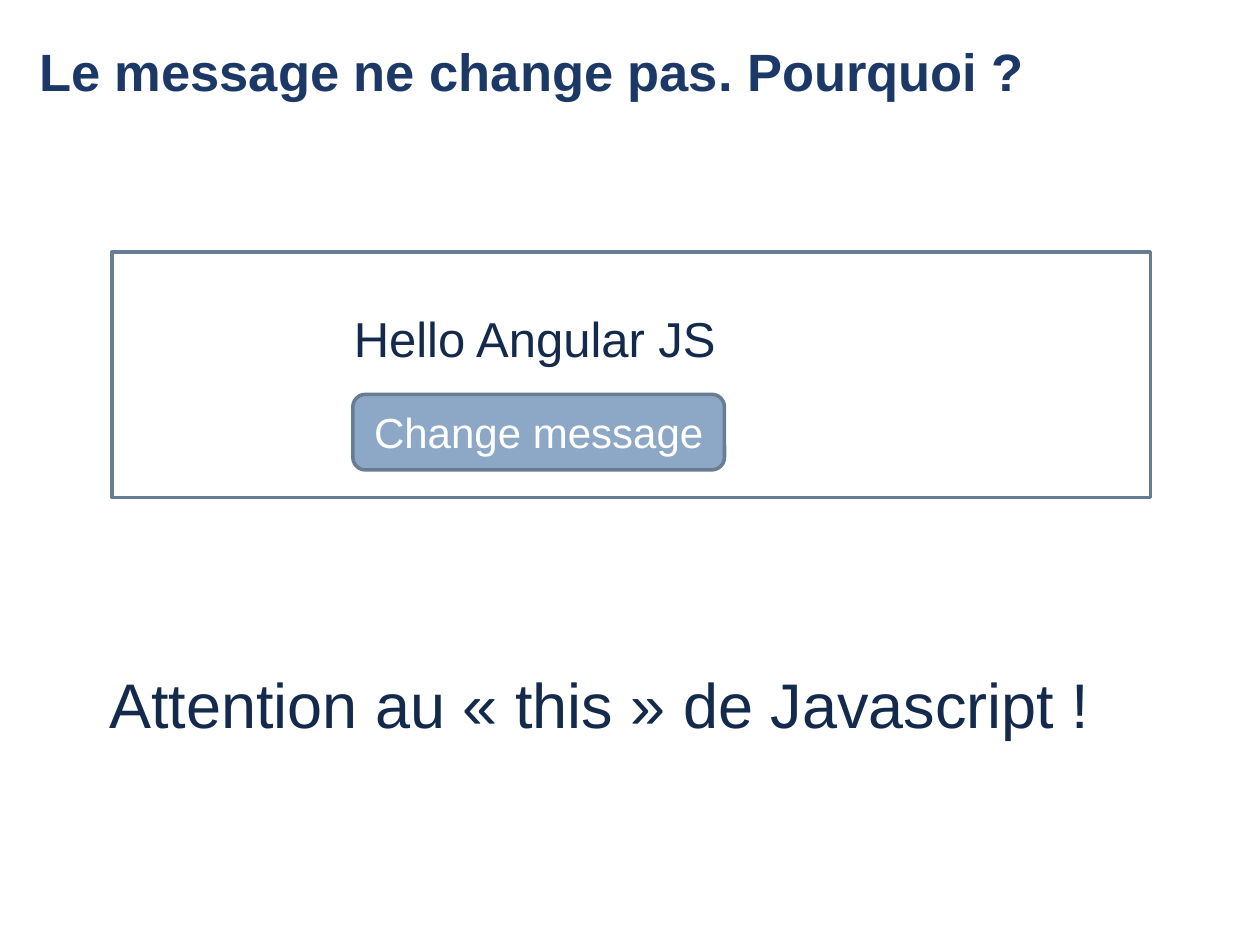
from pptx import Presentation
from pptx.dml.color import RGBColor
from pptx.enum.shapes import MSO_SHAPE
from pptx.enum.text import MSO_ANCHOR, MSO_AUTO_SIZE, PP_ALIGN
from pptx.util import Inches, Pt

RECT, ROUND_RECT = MSO_SHAPE.RECTANGLE, MSO_SHAPE.ROUNDED_RECTANGLE
TOP, MIDDLE = MSO_ANCHOR.TOP, MSO_ANCHOR.MIDDLE
LEFT, CENTER = PP_ALIGN.LEFT, PP_ALIGN.CENTER
FIT_SHAPE = MSO_AUTO_SIZE.SHAPE_TO_FIT_TEXT
NO_FIT = MSO_AUTO_SIZE.NONE

FONT = "Arial"
COLORS = {
    "title": "1B3866",
    "text": "142A4C",
    "white": "FFFFFF",
    "button": "8DA8C6",
    "border": "687C92",
}


def rgb(name):
    return RGBColor.from_string(COLORS[name])


def write(tf, text, size, color, align=LEFT, bold=False):
    p = tf.paragraphs[0]
    p.alignment = align
    r = p.add_run()
    r.text = text
    r.font.name = FONT
    r.font.size = Pt(size)
    r.font.bold = bold
    r.font.color.rgb = rgb(color)


def set_title(s, text, left, top, width, height):
    sp = s.shapes.title
    sp.left, sp.top = Inches(left), Inches(top)
    sp.width, sp.height = Inches(width), Inches(height)
    tf = sp.text_frame
    tf.margin_left = tf.margin_right = tf.margin_top = tf.margin_bottom = 0
    tf.vertical_anchor = TOP
    tf.auto_size = NO_FIT
    write(tf, text, 30, "title", bold=True)


def add_box(s, kind, left, top, width, height, fill):
    sp = s.shapes.add_shape(kind, Inches(left), Inches(top),
                            Inches(width), Inches(height))
    sp.shadow.inherit = False
    sp.fill.solid()
    sp.fill.fore_color.rgb = rgb(fill)
    sp.line.color.rgb = rgb("border")
    sp.line.width = Pt(2)
    return sp


def add_text(s, text, left, top, width, height, size, wrap=True):
    sp = s.shapes.add_textbox(Inches(left), Inches(top),
                              Inches(width), Inches(height))
    tf = sp.text_frame
    tf.word_wrap = wrap
    tf.auto_size = FIT_SHAPE
    write(tf, text, size, "text")


def main():
    prs = Presentation()
    prs.slide_width, prs.slide_height = Inches(10), Inches(7.5)
    s = prs.slides.add_slide(prs.slide_layouts[5])

    set_title(s, "Le message ne change pas. Pourquoi ?", 0.31, 0.31, 9.37, 0.94)

    # Page mock-up: frame, message and button
    add_box(s, RECT, 0.89, 2, 8.24, 1.95, "white")
    add_text(s, "Hello Angular JS", 2.71, 2.4, 3.13, 0.57, 28, wrap=False)
    button = add_box(s, ROUND_RECT, 2.8, 3.13, 2.95, 0.6, "button")
    button.text_frame.vertical_anchor = MIDDLE
    write(button.text_frame, "Change message", 24, "white", CENTER)

    # Warning
    add_text(s, "Attention au « this » de Javascript !", 0.77, 5.23, 8.98, 0.71, 36)

    prs.save("out.pptx")


if __name__ == "__main__":
    main()
